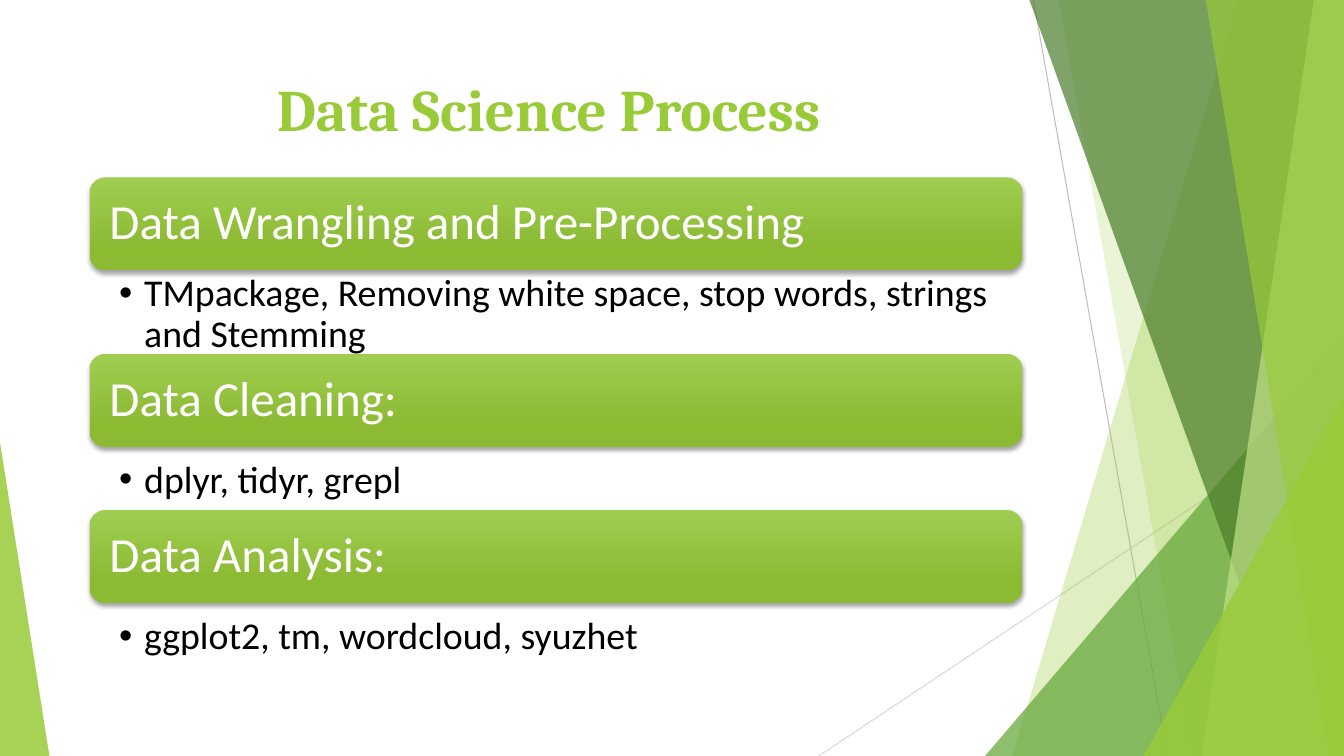
from dataclasses import dataclass

import pptx
import pptx.dml.color
import pptx.enum.shapes
import pptx.enum.text
import pptx.oxml.ns
import pptx.oxml.xmlchemy
import pptx.util
from lxml import etree

Inches = pptx.util.Inches
SHAPES = pptx.enum.shapes.MSO_SHAPE
ANCHOR = pptx.enum.text.MSO_ANCHOR
ALIGN = pptx.enum.text.PP_ALIGN
qn = pptx.oxml.ns.qn


@dataclass(frozen=True)
class Theme:
    lime: str = "99CB38"
    pale: str = "C2E088"
    green: str = "63A537"
    dark: str = "4A7C29"
    bar_top: str = "9FCD50"
    bar_bottom: str = "8CBA33"
    white: str = "FFFFFF"
    black: str = "000000"
    heading_font: str = "Cambria"
    body_font: str = "Calibri"
    title_size: int = 42
    bar_size: int = 35
    list_size: int = 27


@dataclass(frozen=True)
class Ray:
    start: tuple[float, float]
    end: tuple[float, float]
    color: str


@dataclass(frozen=True)
class Facet:
    """Panel along the right edge, given by its left corners at top and bottom."""
    top_x: float
    bottom_x: float
    color: str
    opacity: int


@dataclass(frozen=True)
class Corner:
    """Right triangle standing on the bottom edge."""
    left: float
    top: float
    width: float
    apex: int
    color: str
    opacity: int


@dataclass(frozen=True)
class Step:
    heading: str
    detail: str
    bar_top: float
    list_top: float
    list_height: float


THEME = Theme()
WIDTH, HEIGHT = 13.33, 7.5
LEFT, BAR_WIDTH, BAR_HEIGHT = 0.89, 9.25, 0.92

BACKDROP = [
    Ray((10.25, 0), (11.58, HEIGHT), "BFBFBF"),
    Ray((WIDTH, 4.03), (8.12, HEIGHT), "D9D9D9"),
    Facet(12.28, 10.04, THEME.lime, 30),
    Facet(10.5, 11.83, THEME.lime, 20),
    Corner(9.77, 3.33, 3.56, 1, THEME.green, 72),
    Facet(10.21, 12.91, THEME.dark, 70),
    Facet(13.03, 11.92, THEME.pale, 70),
    Facet(11.96, 13.18, THEME.lime, 65),
    Corner(11.34, 3.93, 1.99, 1, THEME.lime, 80),
    Corner(0, 4.39, 0.49, 0, THEME.lime, 85),
]

STEPS = [
    Step("Data Wrangling and Pre-Processing",
         "TMpackage, Removing white space, stop words, strings and Stemming",
         1.76, 2.67, 0.93),
    Step("Data Cleaning:", "dplyr, tidyr, grepl", 3.51, 4.52, 0.63),
    Step("Data Analysis:", "ggplot2, tm, wordcloud, syuzhet", 5.06, 6.07, 0.63),
]


def rgb(color: str) -> pptx.dml.color.RGBColor:
    return pptx.dml.color.RGBColor.from_string(color)


def place(sp, left: float, top: float, width: float, height: float) -> None:
    sp.left, sp.top = Inches(left), Inches(top)
    sp.width, sp.height = Inches(width), Inches(height)


def write(sp, text: str, *, font: str, size: int, color: str, bold: bool = False,
          align=ALIGN.LEFT, anchor=ANCHOR.TOP, spacing: float = 1.0,
          insets: tuple[float, float, float, float] = (0.1, 0.05, 0.1, 0.05),
          bullet: bool = False) -> None:
    tf = sp.text_frame
    tf.word_wrap = True
    tf.auto_size = pptx.enum.text.MSO_AUTO_SIZE.NONE
    tf.vertical_anchor = anchor
    (tf.margin_left, tf.margin_top,
     tf.margin_right, tf.margin_bottom) = map(Inches, insets)
    p = tf.paragraphs[0]
    p.alignment = align
    p.line_spacing = spacing
    p.space_before = pptx.util.Pt(0)
    if bullet:
        pPr = p._p.get_or_add_pPr()
        pPr.set("marL", str(Inches(0.25)))
        pPr.set("indent", str(Inches(-0.25)))
        etree.SubElement(pPr, qn("a:buFont"), typeface="Arial")
        etree.SubElement(pPr, qn("a:buChar"), char="•")
    r = p.add_run()
    r.text = text
    r.font.name, r.font.size, r.font.bold = font, pptx.util.Pt(size), bold
    r.font.color.rgb = rgb(color)


def fill_glass(sp, color: str, opacity: int) -> None:
    sp.shadow.inherit = False
    sp.line.fill.background()
    sp.fill.solid()
    sp.fill.fore_color.rgb = rgb(color)
    clr = sp._element.spPr.find(qn("a:solidFill"))[0]
    etree.SubElement(clr, qn("a:alpha"), val=str(opacity * 1000))


def draw_ray(s, ray: Ray) -> None:
    line = s.shapes.add_connector(pptx.enum.shapes.MSO_CONNECTOR.STRAIGHT,
                                  *map(Inches, ray.start + ray.end))
    line.line.color.rgb = rgb(ray.color)
    line.line.width = pptx.util.Pt(0.75)
    etree.SubElement(line._element.spPr, qn("a:effectLst"))


def draw_facet(s, facet: Facet) -> None:
    outline = s.shapes.build_freeform(Inches(facet.top_x), 0)
    corners = [(WIDTH, 0), (WIDTH, HEIGHT), (facet.bottom_x, HEIGHT)]
    outline.add_line_segments([(Inches(x), Inches(y)) for x, y in corners])
    fill_glass(outline.convert_to_shape(), facet.color, facet.opacity)


def draw_corner(s, corner: Corner) -> None:
    sp = s.shapes.add_shape(SHAPES.ISOSCELES_TRIANGLE, 0, 0, 0, 0)
    place(sp, corner.left, corner.top, corner.width, HEIGHT - corner.top)
    sp.adjustments[0] = corner.apex
    fill_glass(sp, corner.color, corner.opacity)


def draw_bar(s, step: Step) -> None:
    sp = s.shapes.add_shape(SHAPES.ROUNDED_RECTANGLE, 0, 0, 0, 0)
    place(sp, LEFT, step.bar_top, BAR_WIDTH, BAR_HEIGHT)
    sp.line.fill.background()
    sp.fill.gradient()
    sp.fill.gradient_angle = 270
    stops = [(0, THEME.bar_top), (0.78, THEME.bar_bottom)]
    for stop, (position, color) in zip(sp.fill.gradient_stops, stops):
        stop.position, stop.color.rgb = position, rgb(color)
    # Soft shadow below the bar
    sp.shadow.inherit = False
    shadow = etree.SubElement(
        sp._element.spPr.find(qn("a:effectLst")), qn("a:outerShdw"),
        blurRad=str(pptx.util.Pt(3)), dist=str(pptx.util.Pt(2)),
        dir="5400000", rotWithShape="0")
    clr = etree.SubElement(shadow, qn("a:srgbClr"), val=THEME.black)
    etree.SubElement(clr, qn("a:alpha"), val="35000")
    write(sp, step.heading, font=THEME.body_font, size=THEME.bar_size,
          color=THEME.white, anchor=ANCHOR.MIDDLE, spacing=0.9, insets=(0.15,) * 4)


def main() -> None:
    prs = pptx.Presentation()
    prs.slide_width, prs.slide_height = Inches(WIDTH), Inches(HEIGHT)
    s = prs.slides.add_slide(prs.slide_layouts.get_by_name("Comparison"))
    title, *bodies = s.placeholders

    # Backdrop
    draw = {Ray: draw_ray, Facet: draw_facet, Corner: draw_corner}
    for part in BACKDROP:
        draw[type(part)](s, part)

    # Title
    place(title, 0.74, 0.67, 9.4, 1.44)
    write(title, "Data Science Process", font=THEME.heading_font,
          size=THEME.title_size, color=THEME.lime, bold=True, align=ALIGN.CENTER)

    # Steps, each a bar with its list
    for step, body in zip(STEPS, bodies):
        draw_bar(s, step)
        place(body, LEFT, step.list_top, BAR_WIDTH, step.list_height)
        write(body, step.detail, font=THEME.body_font, size=THEME.list_size,
              color=THEME.black, spacing=0.9, bullet=True,
              insets=(0.29, 0.05, 0.27, 0.05))

    # Unused placeholders
    for body in bodies[len(STEPS):]:
        body._element.getparent().remove(body._element)

    prs.save("out.pptx")


if __name__ == "__main__":
    main()
